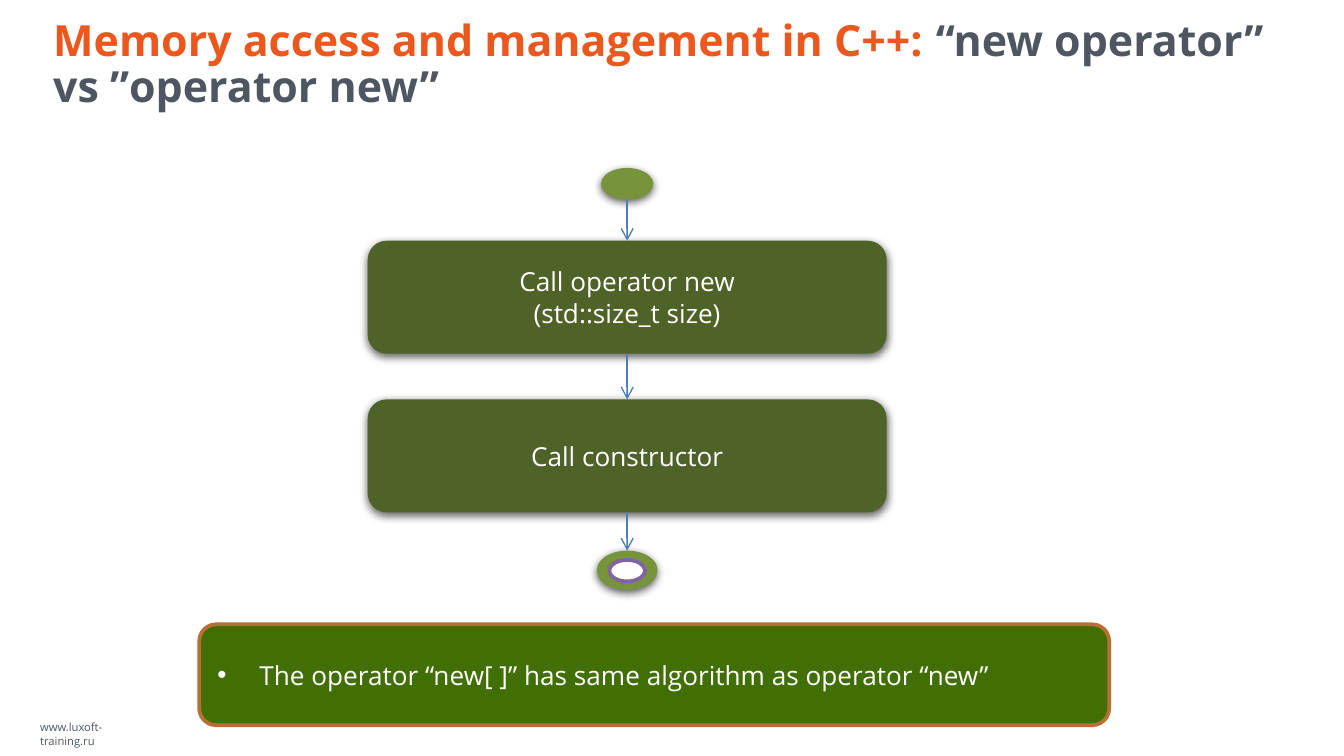
from lxml.etree import SubElement
from pptx import Presentation
from pptx.dml.color import RGBColor
from pptx.enum.shapes import MSO_CONNECTOR, MSO_SHAPE
from pptx.enum.text import MSO_ANCHOR, PP_ALIGN
from pptx.oxml.ns import qn
from pptx.util import Pt

FONT = "Open Sans"
ORANGE, SLATE, WHITE = "EB571C", "4E5761", "FFFFFF"
LEAF, OLIVE, GREEN = "77933C", "4F6228", "426F04"
PURPLE, COPPER, BLUE = "8064A2", "B76F34", "4A7EBB"


def paint(color_format, hex_color):
    color_format.rgb = RGBColor.from_string(hex_color)


def set_font(font, size, color, bold=False):
    for attribute, value in {"name": FONT, "size": Pt(size), "bold": bold}.items():
        setattr(font, attribute, value)
    paint(font.color, color)


def set_frame(frame, side, end, anchor, wrap=True):
    values = {"margin_left": Pt(side), "margin_right": Pt(side),
              "margin_top": Pt(end), "margin_bottom": Pt(end),
              "vertical_anchor": anchor, "word_wrap": wrap}
    for attribute, value in values.items():
        setattr(frame, attribute, value)


def add_shadow(shape):
    effects = shape._element.spPr.find(qn("a:effectLst"))
    shadow = SubElement(effects, qn("a:outerShdw"), blurRad=str(Pt(4.5)),
                        dist=str(Pt(1.5)), dir="5400000", rotWithShape="0")
    black = SubElement(shadow, qn("a:srgbClr"), val="000000")
    SubElement(black, qn("a:alpha"), val="63000")


def add_node(slide, preset, box, fill, outline=None, shadow=False):
    """Add a filled preset shape, with a 2 pt outline if a colour is given."""
    node = slide.shapes.add_shape(preset, *map(Pt, box))
    node.shadow.inherit = False
    node.fill.solid()
    paint(node.fill.fore_color, fill)
    if outline:
        paint(node.line.color, outline)
        node.line.width = Pt(2)
    else:
        node.line.fill.background()
    if shadow:
        add_shadow(node)
    return node


def add_arrow(slide, x, top, bottom):
    arrow = slide.shapes.add_connector(
        MSO_CONNECTOR.STRAIGHT, Pt(x), Pt(top), Pt(x), Pt(bottom))
    paint(arrow.line.color, BLUE)
    arrow.line.width = Pt(0.75)
    SubElement(arrow.line._get_or_add_ln(), qn("a:tailEnd"), type="arrow")
    SubElement(arrow._element.spPr, qn("a:effectLst"))


def add_title(slide, left, top, width, height):
    title = slide.shapes.title
    title.left, title.top, title.width, title.height = map(Pt, (left, top, width, height))
    set_frame(title.text_frame, 6, 3, MSO_ANCHOR.MIDDLE)
    heading = title.text_frame.paragraphs[0]
    heading.alignment = PP_ALIGN.LEFT
    heading.line_spacing = 0.9
    for wording, color in (("Memory access and management in C++: ", ORANGE),
                           ("“new operator” vs ”operator new”", SLATE)):
        run = heading.add_run()
        run.text = wording
        set_font(run.font, 23, color, bold=True)


def add_flow(slide, left, top, width):
    """Draw the steps from the start mark to the ringed end mark."""
    center = left + width / 2
    step_height, first_top, second_top, end_top = 60.5, top + 39, top + 124, top + 205

    def add_oval(oval_top, oval_width, oval_height, fill, **style):
        box = (center - oval_width / 2, oval_top, oval_width, oval_height)
        add_node(slide, MSO_SHAPE.OVAL, box, fill, **style)

    add_oval(top, 28, 17, LEAF, shadow=True)
    steps = ((first_top, ("Call operator new", "(std::size_t size)")),
             (second_top, ("Call constructor",)))
    for step_top, lines in steps:
        step = add_node(slide, MSO_SHAPE.ROUNDED_RECTANGLE,
                        (left, step_top, width, step_height), OLIVE, shadow=True)
        set_frame(step.text_frame, 7.2, 3.6, MSO_ANCHOR.MIDDLE)
        step.text_frame.text = "\n".join(lines)
        for paragraph in step.text_frame.paragraphs:
            paragraph.alignment = PP_ALIGN.CENTER
            set_font(paragraph.font, 14, WHITE)
    add_oval(end_top, 32.5, 21, LEAF, shadow=True)
    add_oval(end_top + 5, 19, 11.5, WHITE, outline=PURPLE)

    for start, end in ((top + 17, first_top), (first_top + step_height, second_top),
                       (second_top + step_height, end_top)):
        add_arrow(slide, center, start, end)


def add_note(slide, *box):
    note = add_node(slide, MSO_SHAPE.ROUNDED_RECTANGLE, box, GREEN, outline=COPPER)
    set_frame(note.text_frame, 7.2, 3.6, MSO_ANCHOR.MIDDLE)
    remark = note.text_frame.paragraphs[0]
    remark.text = "The operator “new[ ]” has same algorithm as operator “new”"
    remark.alignment = PP_ALIGN.LEFT
    properties = remark._p.get_or_add_pPr()
    properties.set("marL", str(Pt(22.5)))
    properties.set("indent", str(-Pt(22.5)))
    SubElement(properties, qn("a:buFont"), typeface="Arial")
    SubElement(properties, qn("a:buChar"), char="•")
    set_font(remark.runs[0].font, 14, WHITE)


def add_footer(slide, *box):
    footer = slide.shapes.add_textbox(*map(Pt, box))
    set_frame(footer.text_frame, 6, 3, MSO_ANCHOR.TOP, wrap=False)
    address = footer.text_frame.paragraphs[0].add_run()
    address.text = "www.luxoft-training.ru"
    set_font(address.font, 6, SLATE)


def main():
    deck = Presentation()
    deck.slide_width, deck.slide_height = Pt(720), Pt(405)
    slide = deck.slides.add_slide(deck.slide_layouts[5])
    add_footer(slide, 15.5, 383, 73.5, 12.5)
    add_title(slide, 22.5, 20, 676, 30)
    add_flow(slide, 197, 90, 278)
    add_note(slide, 106.75, 334.5, 487.5, 54)
    deck.save("out.pptx")


if __name__ == "__main__":
    main()
